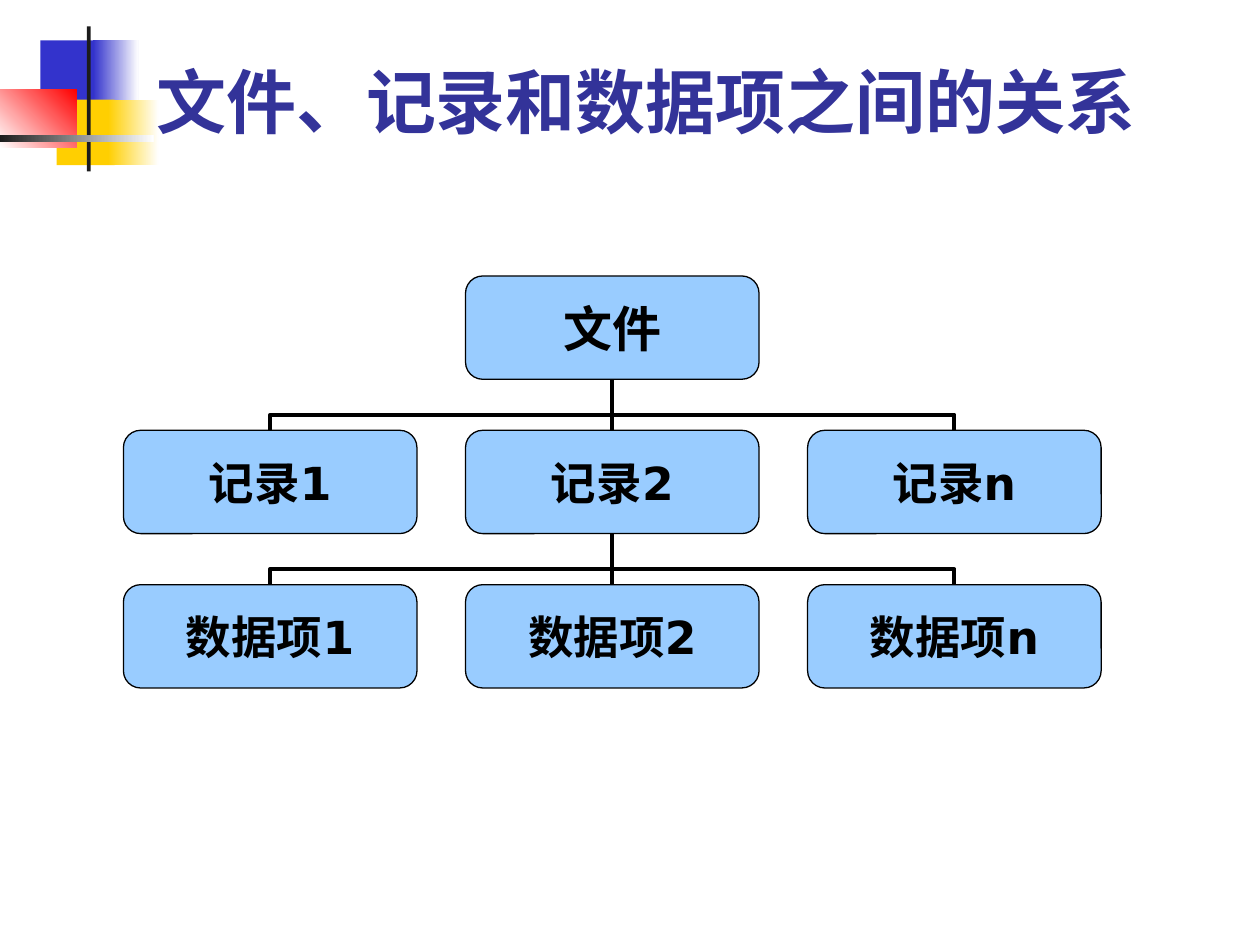
from lxml.etree import SubElement
from pptx import Presentation
from pptx.dml.color import RGBColor
from pptx.enum.shapes import MSO_CONNECTOR, MSO_SHAPE
from pptx.enum.text import MSO_ANCHOR, MSO_AUTO_SIZE, PP_ALIGN
from pptx.oxml.ns import qn
from pptx.util import Inches, Pt

BLACK = RGBColor(0, 0, 0)
WHITE = RGBColor(0xFF, 0xFF, 0xFF)
BLUE = RGBColor(0x33, 0x33, 0xCC)
GOLD = RGBColor(0xFF, 0xCF, 0x01)
RED = RGBColor(0xFF, 0, 0)
DARK = RGBColor(0x1C, 0x1C, 0x1C)
NAVY = RGBColor(0x33, 0x33, 0x99)
SKY = RGBColor(0x99, 0xCC, 0xFF)

TITLE = "文件、记录和数据项之间的关系"
ROOT = "文件"
LEVELS = [
    ["记录1", "记录2", "记录n"],
    ["数据项1", "数据项2", "数据项n"],
]
# left, top, width, height, colours (two make a gradient), angle
DECOR = [
    (0.32, 0.32, 0.48, 0.52, [BLUE], 0),
    (0.74, 0.32, 0.36, 0.52, [BLUE, WHITE], 0),
    (0.45, 0.79, 0.46, 0.52, [GOLD], 0),
    (0.86, 0.79, 0.4, 0.52, [GOLD, WHITE], 0),
    (0, 0.71, 0.61, 0.46, [WHITE, RED], 45),
    (0.69, 0.21, 0.03, 1.15, [DARK], 0),
    (0, 1.07, 1.22, 0.06, [DARK, WHITE], 0),
]

LEFT, TOP = 0.98, 2.19
BOX_W, BOX_H = 2.33, 0.82
STEP_X, STEP_Y = 2.715, 1.225
GAP = STEP_Y - BOX_H
MID = LEFT + STEP_X + BOX_W / 2
BEND = 30500  # share of the gap below the bend, in 1/100000


def write(frame, text, size, font="DejaVu Sans", color=BLACK,
          align=PP_ALIGN.CENTER, anchor=MSO_ANCHOR.MIDDLE, wrap=False):
    frame.auto_size = MSO_AUTO_SIZE.NONE
    frame.word_wrap = wrap
    frame.vertical_anchor = anchor
    para = frame.paragraphs[0]
    para.alignment = align
    run = para.add_run()
    run.text = text
    run.font.name, run.font.size, run.font.bold = font, Pt(size), True
    run.font.color.rgb = color


def add_decor(slide, left, top, width, height, colors, angle):
    shape = slide.shapes.add_shape(
        MSO_SHAPE.RECTANGLE, *map(Inches, (left, top, width, height)))
    shape.shadow.inherit = False
    shape.line.fill.background()
    if len(colors) == 1:
        shape.fill.solid()
        shape.fill.fore_color.rgb = colors[0]
        return
    shape.fill.gradient()
    shape.fill.gradient_angle = angle
    for place, (stop, color) in enumerate(zip(shape.fill.gradient_stops, colors)):
        stop.position = place
        stop.color.rgb = color


def add_box(slide, text, col, row, size):
    shape = slide.shapes.add_shape(
        MSO_SHAPE.ROUNDED_RECTANGLE, Inches(LEFT + col * STEP_X),
        Inches(TOP + row * STEP_Y), Inches(BOX_W), Inches(BOX_H))
    shape.shadow.inherit = False
    shape.fill.solid()
    shape.fill.fore_color.rgb = SKY
    shape.line.color.rgb = BLACK
    shape.line.width = Pt(0.75)
    frame = shape.text_frame
    frame.margin_left = frame.margin_right = Inches(0.14)
    frame.margin_top = frame.margin_bottom = Inches(0.07)
    write(frame, text, size)


def add_link(slide, side, row):
    """Join a box to the middle box above; side is -1, 0 or 1."""
    base = TOP + row * STEP_Y
    if side == 0:
        kind, ends = MSO_CONNECTOR.STRAIGHT, (MID, base, MID, base - GAP)
    else:
        # An elbow starts sideways, so it is drawn lying down and then turned.
        kind = MSO_CONNECTOR.ELBOW
        x, y = MID + side * STEP_X / 2, base - GAP / 2
        dx, dy = side * GAP / 2, STEP_X / 2
        ends = (x - dx, y + dy, x + dx, y - dy)
    line = slide.shapes.add_connector(kind, *map(Inches, ends))
    line.line.color.rgb = BLACK
    line.line.width = Pt(2.25)
    props = line._element.spPr
    SubElement(props, qn("a:effectLst"))
    if side:
        props.find(qn("a:xfrm")).set("rot", str((270 if side > 0 else 90) * 60000))
        guides = props.find(qn("a:prstGeom")).find(qn("a:avLst"))
        SubElement(guides, qn("a:gd"), name="adj1", fmla=f"val {BEND}")


def main():
    deck = Presentation()
    deck.slide_width, deck.slide_height = Inches(10), Inches(7.5)
    slide = deck.slides.add_slide(deck.slide_layouts[5])

    for item in DECOR:
        add_decor(slide, *item)

    for row in range(len(LEVELS), 0, -1):
        for side in (1, 0, -1):
            add_link(slide, side, row)
    add_box(slide, ROOT, 1, 0, 28)
    for row, names in enumerate(LEVELS, 1):
        for col, name in enumerate(names):
            add_box(slide, name, col, row, 26)

    title = slide.shapes.title
    title.left, title.top = Inches(1.14), Inches(0.28)
    title.width, title.height = Inches(8.43), Inches(0.9)
    write(title.text_frame, TITLE, 40, font="Lato", color=NAVY,
          align=PP_ALIGN.LEFT, anchor=MSO_ANCHOR.BOTTOM, wrap=True)
    slide.shapes._spTree.append(title._element)  # bring to front

    deck.save("out.pptx")


if __name__ == "__main__":
    main()
